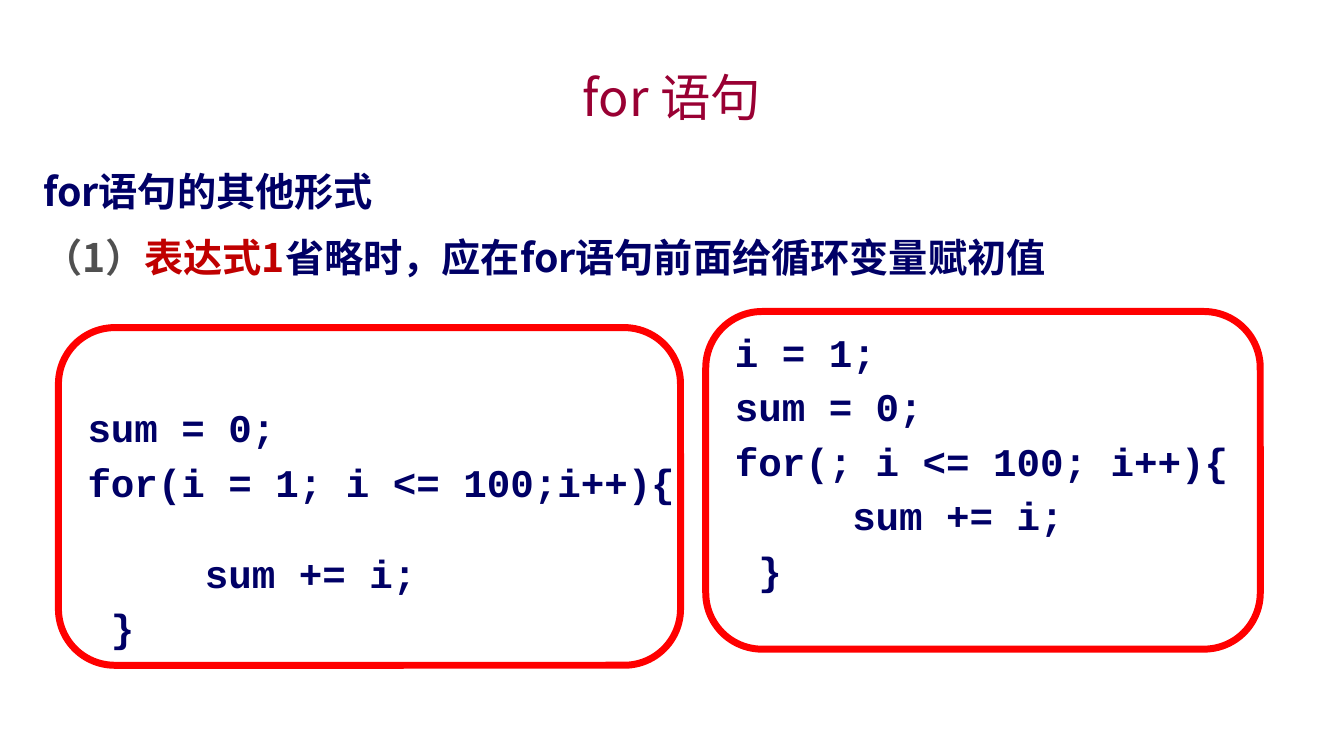
from lxml import etree
from pptx import Presentation
from pptx.dml.color import RGBColor
from pptx.enum.shapes import MSO_SHAPE
from pptx.enum.text import MSO_ANCHOR, PP_ALIGN
from pptx.oxml.ns import qn
from pptx.util import Inches, Pt

ROUNDED = MSO_SHAPE.ROUNDED_RECTANGLE
TOP, MIDDLE = MSO_ANCHOR.TOP, MSO_ANCHOR.MIDDLE
LEFT, CENTER = PP_ALIGN.LEFT, PP_ALIGN.CENTER
SANS, MONO = "Noto Sans CJK SC", "Courier New"
COLORS = {"title": "990033", "text": "000066", "number": "505050",
          "accent": "C00000", "frame": "FF0000"}


def add_run(p, text, font=SANS, size=28, color="text", bold=True):
    r = p.add_run()
    r.text = text
    r.font.name = font
    r.font.size = Pt(size)
    r.font.bold = bold
    r.font.color.rgb = RGBColor.from_string(COLORS[color])
    ea = etree.SubElement(r.font._element, qn("a:ea"))
    ea.set("typeface", font)


def add_text_box(slide, box, anchor=TOP):
    sp = slide.shapes.add_textbox(*map(Inches, box))
    tf = sp.text_frame
    tf.word_wrap = True
    tf.vertical_anchor = anchor
    return tf


def next_paragraph(tf, index, line, before):
    """Return paragraph number index, with line height and space before in points."""
    p = tf.add_paragraph() if index else tf.paragraphs[0]
    p.alignment = LEFT
    p.line_spacing = Pt(line)
    p.space_before = Pt(before if index else 0)
    return p


def add_title(slide, box, text):
    p = add_text_box(slide, box, MIDDLE).paragraphs[0]
    p.alignment = CENTER
    add_run(p, text, size=36, color="title", bold=False)


def add_body(slide, box, paragraphs):
    tf = add_text_box(slide, box)
    for i, runs in enumerate(paragraphs):
        p = next_paragraph(tf, i, line=41.5, before=6)
        for text, color in runs:
            add_run(p, text, color=color)


def add_code_panel(slide, box, lines, top_gap, wide_gap=None):
    """Draw a framed listing; wide_gap is the line that has a larger gap above it."""
    sp = slide.shapes.add_shape(ROUNDED, *map(Inches, box))
    sp.shadow.inherit = False
    sp.fill.background()
    sp.line.color.rgb = RGBColor.from_string(COLORS["frame"])
    sp.line.width = Pt(5)

    left, top, width, height = box
    tf = add_text_box(slide, (left + 0.19, top + top_gap, width, height - top_gap))
    tf.margin_right = tf.margin_bottom = 0
    for i, code in enumerate(lines):
        p = next_paragraph(tf, i, line=26, before=39 if i == wide_gap else 13)
        add_run(p, code, font=MONO)


def main():
    prs = Presentation()
    prs.slide_width, prs.slide_height = Inches(13.33), Inches(7.5)
    slide = prs.slides.add_slide(prs.slide_layouts[6])

    add_title(slide, (1, 0.58, 11.33, 0.75), "for 语句")
    add_body(slide, (0.33, 1.5, 12.67, 1.45), [
        [("for语句的其他形式", "text")],
        [("（1）", "number"), ("表达式1", "accent"),
         ("省略时，应在for语句前面给循环变量赋初值", "text")],
    ])

    loop_body = ["     sum += i;", " }"]
    add_code_panel(slide, (0.58, 3.25, 6.17, 3.35),
                   ["sum = 0;", "for(i = 1; i <= 100;i++){"] + loop_body,
                   top_gap=0.81, wide_gap=2)
    add_code_panel(slide, (7, 3.09, 5.5, 3.35),
                   ["i = 1;", "sum = 0;", "for(; i <= 100; i++){"] + loop_body,
                   top_gap=0.22)
    prs.save("out.pptx")


if __name__ == "__main__":
    main()
